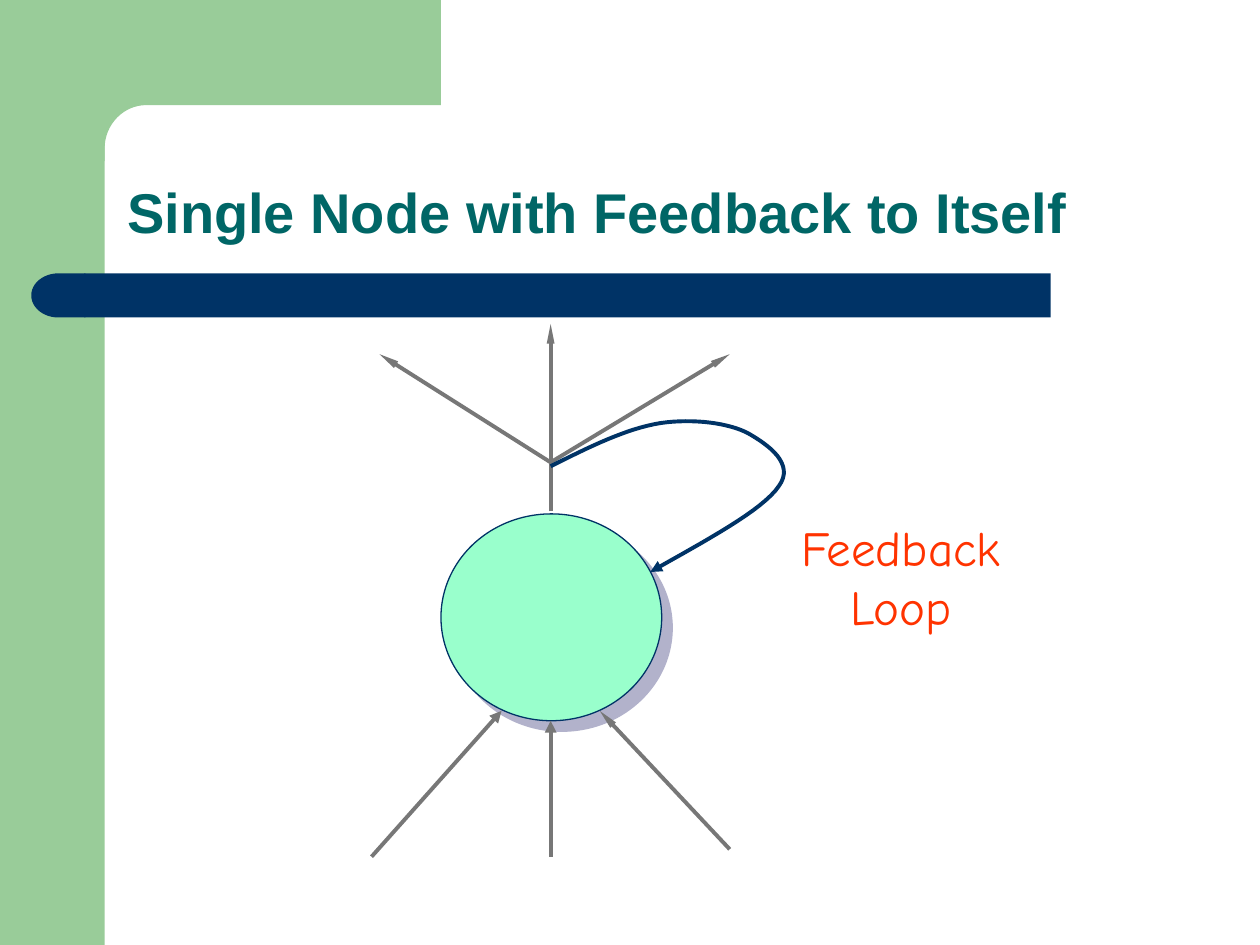
from dataclasses import dataclass

from lxml.etree import SubElement
from pptx import Presentation
from pptx.dml.color import RGBColor
from pptx.enum.shapes import MSO_CONNECTOR, MSO_SHAPE
from pptx.enum.text import MSO_ANCHOR, PP_ALIGN
from pptx.oxml.ns import qn
from pptx.util import Cm, Pt

GREEN, NAVY, GREY = "99CC99", "003366", "777777"
Point = tuple[float, float]


@dataclass
class Arrow:
    start: Point
    tip: Point
    width: str = "med"
    length: str = "med"


NODE_X = 11.1
FORK = (NODE_X, 9.32)
ARROWS = [
    # Inputs
    Arrow((NODE_X, 17.27), (NODE_X, 14.53)),
    Arrow((7.49, 17.27), (10.11, 14.33)),
    Arrow((14.71, 17.12), (12.09, 14.33), "sm", "lg"),
    # Outputs
    Arrow((NODE_X, 10.31), (NODE_X, 6.53), "sm", "lg"),
    Arrow(FORK, (14.71, 7.14), "sm", "lg"),
    Arrow(FORK, (7.65, 7.14), "sm", "lg"),
]


def color(value: str) -> RGBColor:
    return RGBColor.from_string(value)


def paint(shape, fill: str | None = None, line: str | None = None, weight: float = 0.75) -> None:
    shape.shadow.inherit = False
    if fill:
        shape.fill.solid()
        shape.fill.fore_color.rgb = color(fill)
    else:
        shape.fill.background()
    if line:
        shape.line.color.rgb = color(line)
        shape.line.width = Pt(weight)
    else:
        shape.line.fill.background()


def add_block(page, kind, left: float, top: float, width: float, height: float, **look):
    shape = page.shapes.add_shape(kind, Cm(left), Cm(top), Cm(width), Cm(height))
    paint(shape, **look)
    return shape


def bezier(points: list[Point], steps: int = 16) -> list[Point]:
    """Sample a chain of cubic curves: a start, then three points for each curve."""
    path = [points[0]]
    for i in range(0, len(points) - 1, 3):
        for step in range(1, steps + 1):
            t = step / steps
            weights = ((1 - t) ** 3, 3 * t * (1 - t) ** 2, 3 * t * t * (1 - t), t ** 3)
            path.append(tuple(
                sum(w * point[axis] for w, point in zip(weights, points[i:i + 4]))
                for axis in (0, 1)))
    return path


def add_path(page, points: list[Point], close: bool, **look):
    vertices = [(Cm(x), Cm(y)) for x, y in points]
    builder = page.shapes.build_freeform(*vertices[0])
    builder.add_line_segments(vertices[1:], close=close)
    shape = builder.convert_to_shape()
    paint(shape, **look)
    return shape


def add_head(shape, width: str = "med", length: str = "med") -> None:
    SubElement(shape.line._get_or_add_ln(), qn("a:tailEnd"),
               type="triangle", w=width, len=length)


def add_arrow(page, arrow: Arrow) -> None:
    line = page.shapes.add_connector(
        MSO_CONNECTOR.STRAIGHT, *(Cm(value) for value in arrow.start + arrow.tip))
    line.line.color.rgb = color(GREY)
    line.line.width = Pt(2.25)
    add_head(line, arrow.width, arrow.length)
    SubElement(line._element.spPr, qn("a:effectLst"))


def add_shadow(shape, tint: str, alpha: int, distance: float, angle: int) -> None:
    effects = shape._element.spPr.find(qn("a:effectLst"))
    shadow = SubElement(effects, qn("a:outerShdw"), dist=str(Pt(distance)),
                        dir=str(angle * 60000), algn="ctr", rotWithShape="0")
    tone = SubElement(shadow, qn("a:srgbClr"), val=tint)
    SubElement(tone, qn("a:alpha"), val=str(alpha * 1000))


def write(box, text: str, *, font: str, size: float, tint: str, bold: bool = False,
          align=PP_ALIGN.LEFT, spacing: float = 1.0, anchor=MSO_ANCHOR.TOP,
          wrap: bool = True) -> None:
    frame = box.text_frame
    frame.text = text
    frame.word_wrap = wrap
    frame.vertical_anchor = anchor
    for para in frame.paragraphs:
        para.alignment = align
        para.line_spacing = spacing
        for span in para.runs:
            span.font.name = font
            span.font.size = Pt(size)
            span.font.bold = bold
            span.font.color.rgb = color(tint)


def main() -> None:
    deck = Presentation()
    deck.slide_width, deck.slide_height = Cm(25.4), Cm(19.05)
    page = deck.slides.add_slide(deck.slide_layouts[5])

    # Green side band and corner
    add_block(page, MSO_SHAPE.RECTANGLE, 0, 0, 2.11, 19.05, fill=GREEN)
    corner = bezier([(2.95, 2.12), (2.5, 2.12), (2.11, 2.5), (2.11, 3.0)])
    add_path(page, [(1.27, 0), (8.89, 0), (8.89, 2.12), *corner, (2.11, 3.25), (1.27, 3.25)],
             close=True, fill=GREEN)

    # Navy bar with a round left end
    add_block(page, MSO_SHAPE.RECTANGLE, 1.7, 5.51, 19.48, 0.89, fill=NAVY)
    cap = add_block(page, MSO_SHAPE.FLOWCHART_DELAY, 0.63, 5.51, 1.09, 0.89, fill=NAVY)
    cap.rotation = 180

    # Title
    title = page.shapes.title
    title.left, title.top, title.width, title.height = Cm(2.31), Cm(2.31), Cm(21.62), Cm(2.77)
    write(title, "Single Node with Feedback to Itself", font="Arial", size=32,
          tint="006666", bold=True, spacing=0.9, anchor=MSO_ANCHOR.BOTTOM)

    # Node with its inputs and outputs
    node = add_block(page, MSO_SHAPE.OVAL, 8.89, 10.36, 4.45, 4.17, fill="99FFCC", line=NAVY)
    add_shadow(node, "666699", alpha=50, distance=8.5, angle=45)
    for arrow in ARROWS:
        add_arrow(page, arrow)

    # Feedback loop and its label
    label = page.shapes.add_textbox(Cm(15.88), Cm(10.31), Cm(4.57), Cm(2.64))
    write(label, "Feedback\nLoop", font="Comic Neue", size=28, tint="FF3300",
          align=PP_ALIGN.CENTER, wrap=False)
    loop = bezier([(NODE_X, 9.4), (11.86, 9.02), (12.62, 8.64), (13.31, 8.53),
                   (13.97, 8.43), (14.71, 8.53), (15.09, 8.74),
                   (15.49, 8.97), (16.03, 9.35), (15.7, 9.8),
                   (15.37, 10.29), (14.22, 10.9), (13.11, 11.53)])
    add_head(add_path(page, loop, close=False, line=NAVY, weight=2.25))

    deck.save("out.pptx")


if __name__ == "__main__":
    main()
